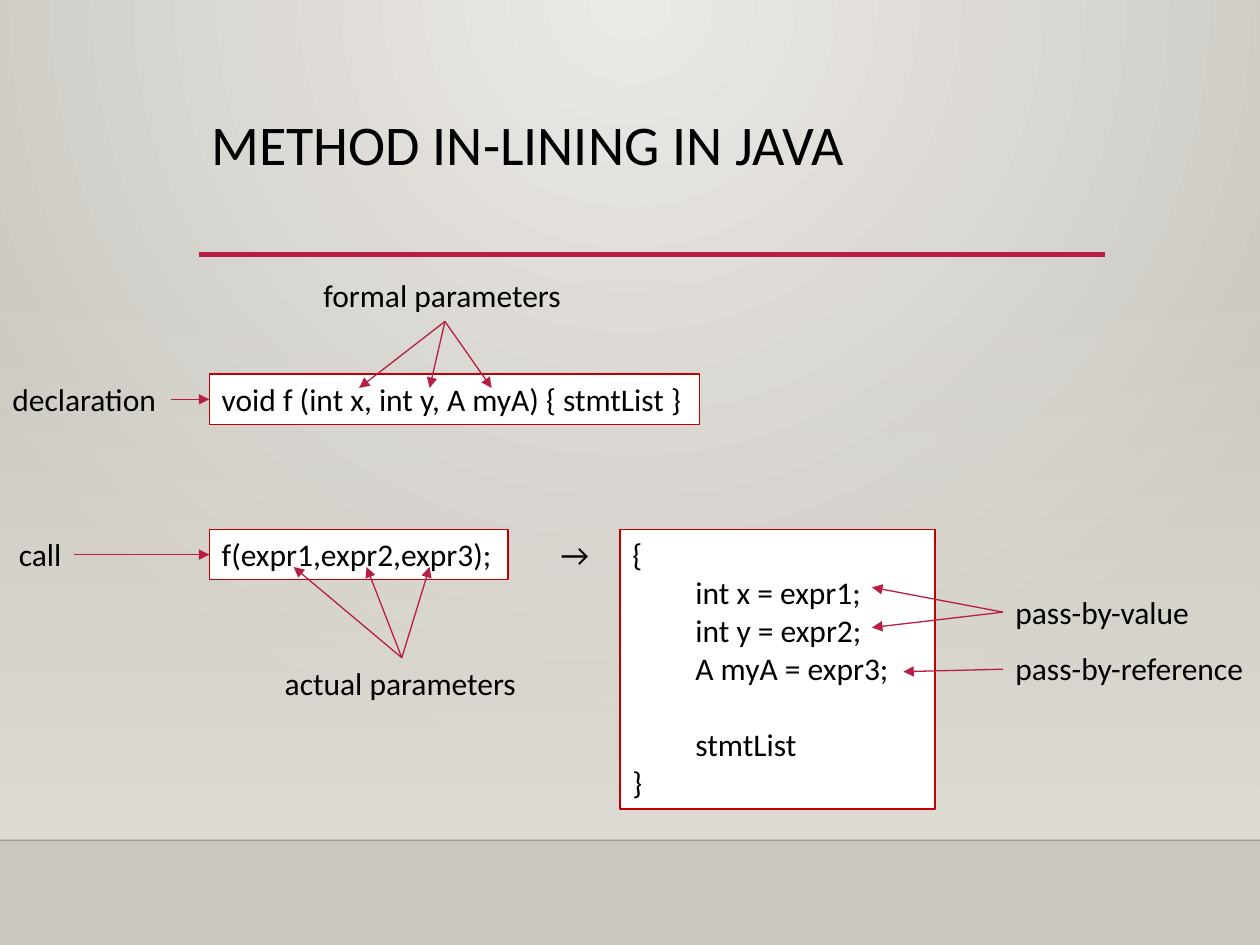
from pptx import Presentation
from pptx.dml.color import RGBColor
from pptx.enum.shapes import MSO_CONNECTOR as CONN, MSO_SHAPE as SHAPE
from pptx.enum.text import MSO_ANCHOR as ANCHOR, MSO_AUTO_SIZE as AUTO, PP_ALIGN as ALIGN
from pptx.oxml import parse_xml
from pptx.oxml.ns import nsdecls, qn
from pptx.util import Cm, Pt

rgb = RGBColor.from_string
RED, BLACK = "B71E42", "000000"


def swap_solid_for_gradient(parent, stops, direction):
    """Replace the solid fill in parent; stops are (position %, colour, opacity %)."""
    gs = "".join(
        f'<a:gs pos="{pos * 1000}"><a:srgbClr val="{color}">'
        f'<a:alpha val="{alpha * 1000}"/></a:srgbClr></a:gs>'
        for pos, color, alpha in stops)
    grad = parse_xml(f'<a:gradFill {nsdecls("a")} rotWithShape="1">'
                     f'<a:gsLst>{gs}</a:gsLst>{direction}</a:gradFill>')
    parent.replace(parent.find(qn("a:solidFill")), grad)


prs = Presentation()
prs.slide_width, prs.slide_height = Cm(25.4), Cm(19.05)
s = prs.slides.add_slide(prs.slide_layouts[6])

# Backdrop: a glow from the top, and a wall that fades in down to the floor
s.background.fill.solid()
swap_solid_for_gradient(
    s.element.find(".//" + qn("p:bgPr")),
    [(0, "ECEAE7", 100), (100, "CAC7C1", 100)],
    '<a:path path="circle"><a:fillToRect l="43000" t="0" r="43000" b="100000"/></a:path>')
wall = s.shapes.add_shape(SHAPE.RECTANGLE, 0, Cm(5.6), Cm(25.4), Cm(11.33))
wall.shadow.inherit = False
wall.line.fill.background()
wall.fill.solid()
swap_solid_for_gradient(
    wall.element.spPr, [(0, "DFDBD5", 0), (100, "DFDBD5", 100)],
    '<a:lin ang="5400000" scaled="0"/>')

# Title
title = s.shapes.add_textbox(Cm(4.01), Cm(2.24), Cm(18.26), Cm(2.92))
tf = title.text_frame
tf.word_wrap = True
p = tf.paragraphs[0]
p.line_spacing = 0.9
r = p.add_run()
r.text = "METHOD IN-LINING IN JAVA"
for name, value in {"name": "Calibri", "size": Pt(32)}.items():
    setattr(r.font, name, value)
r.font.color.rgb = rgb(BLACK)

# Code boxes and labels: left, top, width, height, boxed, lines of
# (text, left indent in cm, space before in points)
DECL_Y, CALL_Y, ROW_H, NOTE_X = 7.54, 10.67, 1.02, 20.22
INDENT = 1.27
body = [("{", 0, 0), ("int x = expr1;", INDENT, 0), ("int y = expr2;", INDENT, 0),
        ("A myA = expr3;", INDENT, 0), ("stmtList", INDENT, 22), ("}", 0, 0)]
texts = [
    (4.22, DECL_Y, 9.88, ROW_H, True, [("void f (int x, int y, A myA) { stmtList }", 0, 0)]),
    (12.5, CALL_Y, 6.35, 5.64, True, body),
    (4.22, CALL_Y, 6.02, ROW_H, True, [("f(expr1,expr2,expr3);", 0, 0)]),
    (11.05, CALL_Y, 1.14, ROW_H, False, [("→", 0, 0)]),
    (6.27, 5.44, 5.36, ROW_H, False, [("formal parameters", 0, 0)]),
    (5.49, 13.26, 5.23, ROW_H, False, [("actual parameters", 0, 0)]),
    (0, DECL_Y, 3.45, ROW_H, False, [("declaration", 0, 0)]),
    (0.13, CALL_Y, 1.37, ROW_H, False, [("call", 0, 0)]),
    (NOTE_X, 11.84, 4.06, ROW_H, False, [("pass-by-value", 0, 0)]),
    (NOTE_X, 12.95, 5.18, ROW_H, False, [("pass-by-reference", 0, 0)]),
]
for left, top, width, height, boxed, lines in texts:
    place = Cm(left), Cm(top), Cm(width), Cm(height)
    if boxed:
        sp = s.shapes.add_shape(SHAPE.RECTANGLE, *place)
        sp.shadow.inherit = False
        sp.fill.solid()
        sp.fill.fore_color.rgb = rgb("FFFFFF")
        sp.line.color.rgb = rgb("C00000")
        sp.line.width = Pt(0.75)
    else:
        sp = s.shapes.add_textbox(*place)
    tf = sp.text_frame
    frame = {"word_wrap": len(lines) > 1, "auto_size": AUTO.SHAPE_TO_FIT_TEXT,
             "vertical_anchor": ANCHOR.TOP}
    for name, value in frame.items():
        setattr(tf, name, value)
    for i, (text, indent, before) in enumerate(lines):
        p = tf.add_paragraph() if i else tf.paragraphs[0]
        p.alignment = ALIGN.LEFT
        if indent:
            p._p.get_or_add_pPr().set("marL", str(Cm(indent)))
        if before:
            p.space_before = Pt(before)
        r = p.add_run()
        r.text = text
        for name, value in {"name": "Calibri", "size": Pt(18)}.items():
            setattr(r.font, name, value)
        r.font.color.rgb = rgb(BLACK)

# Lines: from, to, colour, width, opacity %, arrowhead
lines = [((0, 16.94), (25.4, 16.94), "000001", 1, 20, False),
         ((4.01, 5.13), (22.28, 5.13), RED, 2.5, 100, False)]
arrows = [
    ((8.97, 6.48), [(7.24, 7.82), (8.66, 7.82), (9.91, 7.82)]),
    ((8.1, 13.26), [(5.92, 11.43), (7.39, 11.43), (8.66, 11.43)]),
    ((3.45, 8.05), [(4.22, 8.05)]),
    ((1.5, 11.18), [(4.22, 11.18)]),
    ((NOTE_X, 12.34), [(17.58, 11.84), (17.58, 12.65)]),
    ((NOTE_X, 13.49), [(18.21, 13.54)]),
]
lines += [(start, end, RED, 0.75, 100, True) for start, ends in arrows for end in ends]
for start, end, color, width, alpha, arrow in lines:
    cx = s.shapes.add_connector(CONN.STRAIGHT, *map(Cm, start + end))
    cx.line.color.rgb = rgb(color)
    cx.line.width = Pt(width)
    ln = cx.line._get_or_add_ln()
    if alpha < 100:
        ln.find(".//" + qn("a:srgbClr")).append(
            parse_xml(f'<a:alpha {nsdecls("a")} val="{alpha * 1000}"/>'))
    if arrow:
        ln.append(parse_xml(f'<a:tailEnd {nsdecls("a")} type="triangle"/>'))
    cx._element.spPr.append(parse_xml(f'<a:effectLst {nsdecls("a")}/>'))

prs.save("out.pptx")
